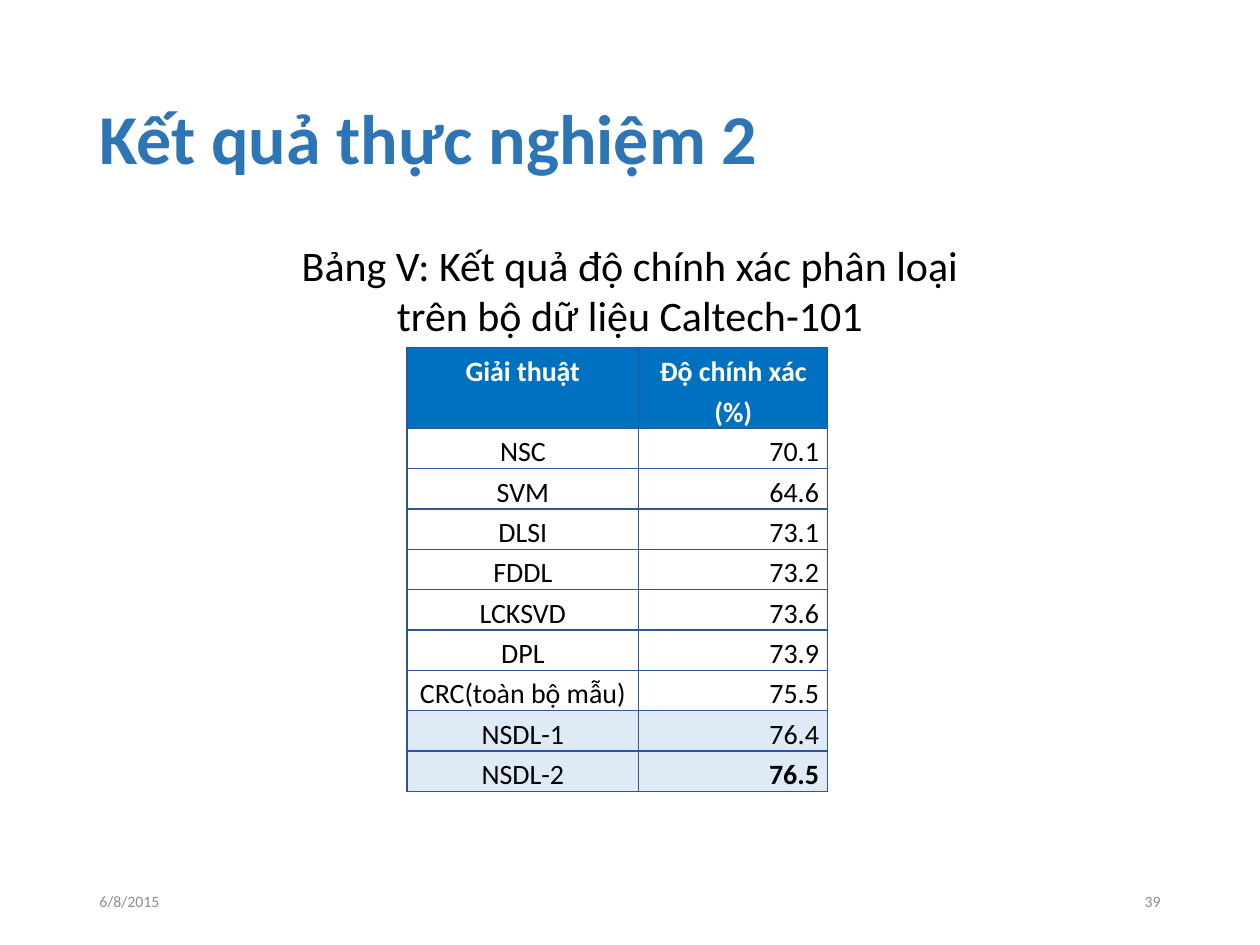
from lxml.etree import SubElement
from pptx import Presentation
from pptx.dml.color import RGBColor
from pptx.enum.text import MSO_ANCHOR, PP_ALIGN
from pptx.oxml.ns import qn
from pptx.util import Inches, Pt

COLORS = {"title": "2E75B6", "header": "0070C0", "border": "2F5597", "highlight": "DEEBF7",
          "text": "000000", "light": "FFFFFF", "footer": "8C8C8C"}
RESULTS = [("NSC", "70.1"), ("SVM", "64.6"), ("DLSI", "73.1"), ("FDDL", "73.2"),
           ("LCKSVD", "73.6"), ("DPL", "73.9"), ("CRC(toàn bộ mẫu)", "75.5"),
           ("NSDL-1", "76.4"), ("NSDL-2", "76.5")]


def write_para(para, text, color, align, line_spacing=None, **font_values):
    """Write one run of text and format its paragraph."""
    span = para.add_run()
    span.text = text
    for name, value in {"alignment": align, "line_spacing": line_spacing}.items():
        setattr(para, name, value)
    for name, value in {"name": "Calibri", **font_values}.items():
        setattr(span.font, name, value)
    span.font.color.rgb = RGBColor.from_string(COLORS[color])


def add_title(page, left, top, width, height):
    """Move and fill the title placeholder."""
    title = page.shapes.title
    values = {"left": left, "top": top, "width": width, "height": height}
    for name, value in values.items():
        setattr(title, name, Inches(value))
    title.text_frame.vertical_anchor = MSO_ANCHOR.MIDDLE
    write_para(title.text_frame.paragraphs[0], "Kết quả thực nghiệm 2", "title",
               PP_ALIGN.LEFT, 0.9, size=Pt(40), bold=True)


def add_text(page, left, top, width, height, lines, color, size, align,
             anchor=MSO_ANCHOR.TOP, wrap=True):
    """Add a text box with one paragraph per line."""
    box = page.shapes.add_textbox(*map(Inches, (left, top, width, height)))
    frame = box.text_frame
    for name, value in {"word_wrap": wrap, "vertical_anchor": anchor}.items():
        setattr(frame, name, value)
    for index, line in enumerate(lines):
        para = frame.add_paragraph() if index else frame.paragraphs[0]
        write_para(para, line, color, align, size=Pt(size))


def add_footer(page, left, top, width, height):
    """Place the date and the page number at both ends of the footer."""
    box_width = 2.25
    ends = [(left, "6/8/2015", PP_ALIGN.LEFT),
            (left + width - box_width, "39", PP_ALIGN.RIGHT)]
    for box_left, text, align in ends:
        add_text(page, box_left, top, box_width, height, [text], "footer", 9, align,
                 MSO_ANCHOR.MIDDLE)


def add_borders(cell):
    """Draw a thin line on every side of a cell."""
    properties = cell._tc.get_or_add_tcPr()
    for side in ("a:lnL", "a:lnR", "a:lnT", "a:lnB"):
        line = SubElement(properties, qn(side), w=str(Pt(0.75)))
        fill = SubElement(line, qn("a:solidFill"))
        SubElement(fill, qn("a:srgbClr"), val=COLORS["border"])


def fill_cell(cell, text, color, fill, align, bold):
    """Write and format one table cell."""
    margins = {"margin_left": 0.07, "margin_right": 0.07, "margin_top": 0, "margin_bottom": 0}
    for name, value in margins.items():
        setattr(cell, name, Inches(value))
    add_borders(cell)
    if fill:
        cell.fill.solid()
        cell.fill.fore_color.rgb = RGBColor.from_string(COLORS[fill])
    else:
        cell.fill.background()
    write_para(cell.text_frame.paragraphs[0], text, color, align, 1.2, size=Pt(16), bold=bold)


def add_results(page, left, top, width, height):
    """Add the accuracy table, with a header twice as high as a row."""
    rows = [("Giải thuật", "Độ chính xác (%)"), *RESULTS]
    frame = page.shapes.add_table(len(rows), 2, *map(Inches, (left, top, width, height)))
    table = frame.table
    table.first_row = table.horz_banding = False
    name_width = 1.84
    for column, column_width in zip(table.columns, (name_width, width - name_width)):
        column.width = Inches(column_width)
    unit = height / (len(rows) + 1)
    best = len(rows) - 1
    for index, values in enumerate(rows):
        header = index == 0
        table.rows[index].height = Inches(2 * unit if header else unit)
        fill = "header" if header else "highlight" if values[0].startswith("NSDL") else None
        for column, text in enumerate(values):
            align = PP_ALIGN.RIGHT if column and not header else PP_ALIGN.CENTER
            bold = header or (index == best and column == 1)
            fill_cell(table.cell(index, column), text, "light" if header else "text",
                      fill, align, bold)


def main():
    """Build the deck and save it."""
    deck = Presentation()
    deck.slide_width, deck.slide_height = Inches(10), Inches(7.5)
    page = deck.slides.add_slide(deck.slide_layouts[5])
    add_title(page, 0.69, 0.4, 8.62, 1.45)
    add_footer(page, 0.69, 6.95, 8.62, 0.4)
    caption = ["Bảng V: Kết quả độ chính xác phân loại", "trên bộ dữ liệu Caltech-101"]
    add_text(page, 2.27, 1.85, 5.46, 0.91, caption, "text", 24, PP_ALIGN.CENTER, wrap=False)
    add_results(page, 3.23, 2.76, 3.34, 3.52)
    deck.save("out.pptx")


if __name__ == "__main__":
    main()
